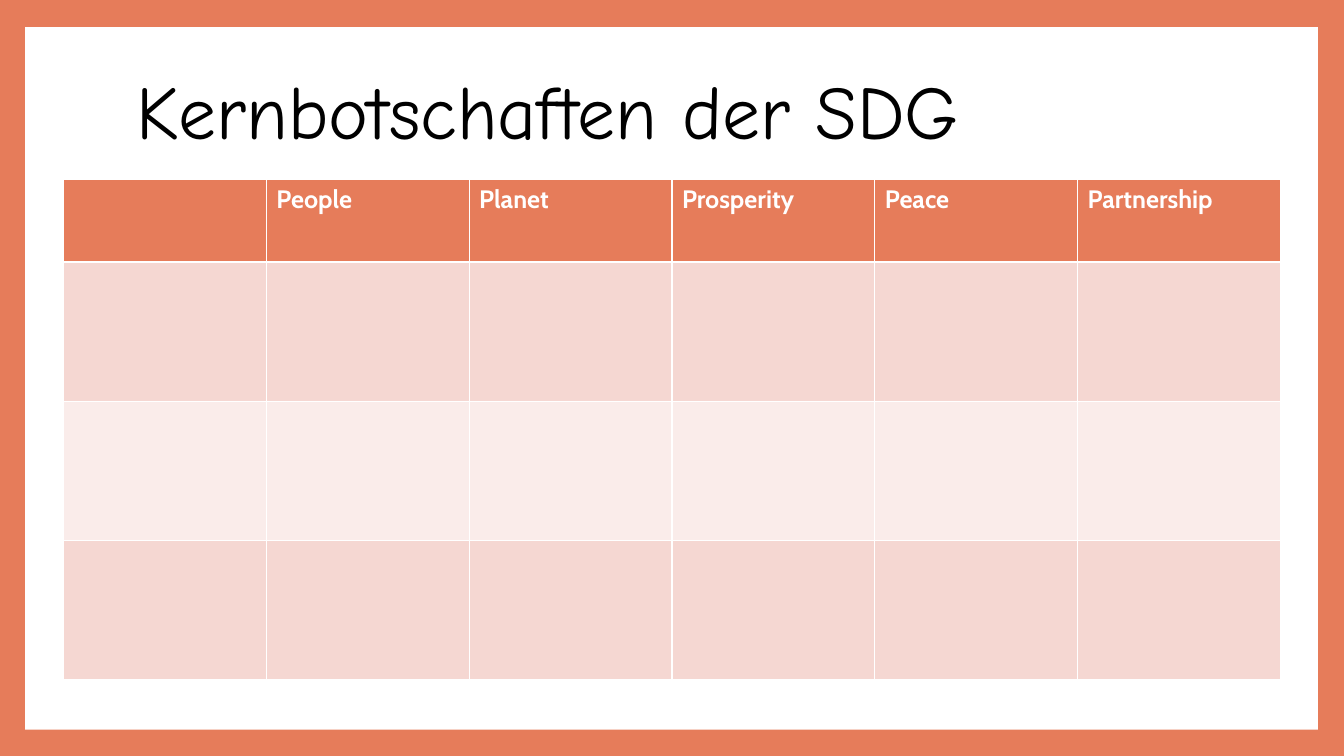
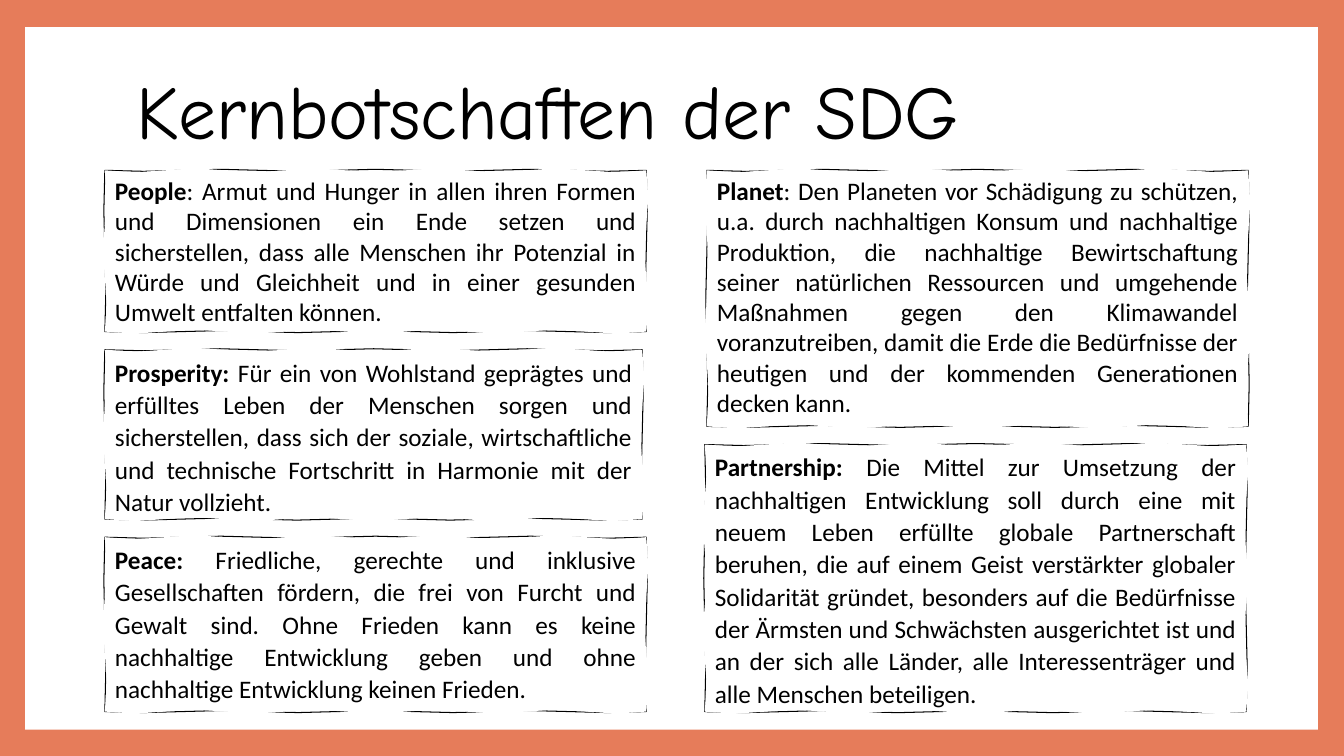
from copy import deepcopy

from pptx import Presentation
from pptx.dml.color import RGBColor
from pptx.enum import shapes, text
from pptx.util import Inches, Pt

CORAL = RGBColor(0xE6, 0x7C, 0x5A)
ROSE = RGBColor(0xF5, 0xD7, 0xD2)
BLUSH = RGBColor(0xFA, 0xEC, 0xEA)
WHITE = RGBColor(0xFF, 0xFF, 0xFF)
BLACK = RGBColor(0, 0, 0)

HEAD = {"name": "Comic Neue", "size": Pt(54), "bold": False}
CELL = {"name": "Cabin", "size": Pt(18), "bold": True}
BODY = {"name": "Calibri", "size": Pt(18)}


def style(font, form, color):
    for key, value in form.items():
        setattr(font, key, value)
    font.color.rgb = color


def outline(box, rate, swing):
    """Return the corners of a box, with points swaying in and out between them."""
    left, top, width, height = box
    points = []
    for x, y, dx, dy in ((left, top, width, 0), (left + width, top, 0, height),
                         (left + width, top + height, -width, 0),
                         (left, top + height, 0, -height)):
        points.append((Inches(x), Inches(y)))
        waves = round(abs(dx + dy) * rate)
        for i in range(waves):
            t = (i + 0.5) / waves
            sway = swing * (-1) ** i
            points.append((Inches(x + dx * t + (sway if dy else 0)),
                           Inches(y + dy * t + (sway if dx else 0))))
    return points


deck = Presentation()
deck.slide_width, deck.slide_height = Inches(13.33), Inches(7.5)

# Shared look: coral background, white panel, title place
master = deck.slide_master
master.background.fill.solid()
master.background.fill.fore_color.rgb = CORAL
layout = deck.slide_layouts.get_by_name("Title Only")
place = layout.placeholders[0]
place.left, place.top = Inches(1.25), Inches(0.67)
place.width, place.height = Inches(10.8), Inches(0.94)

pages = [deck.slides.add_slide(layout) for _ in range(2)]
panel = pages[0].shapes.add_shape(
    shapes.MSO_SHAPE.RECTANGLE, Inches(0.25), Inches(0.27), Inches(12.82), Inches(6.97))
panel.shadow.inherit = False
panel.fill.solid()
panel.fill.fore_color.rgb = WHITE
panel.line.fill.background()
panel.element.nvSpPr.cNvPr.set("id", "99")
master.shapes.element.insert(2, panel.element)

# Titles
for page in pages:
    frame = page.shapes.title.text_frame
    frame.text = "Kernbotschaften der SDG"
    frame.word_wrap = True
    frame.auto_size = text.MSO_AUTO_SIZE.NONE
    frame.vertical_anchor = text.MSO_ANCHOR.MIDDLE
    line = frame.paragraphs[0]
    line.alignment = text.PP_ALIGN.LEFT
    line.line_spacing = 0.9
    style(line.runs[0].font, HEAD, BLACK)

# Slide 1: empty table to fill in
names = ["", "People", "Planet", "Prosperity", "Peace", "Partnership"]
table = pages[0].shapes.add_table(
    4, len(names), Inches(0.63), Inches(1.78), Inches(12.07), Inches(4.96)).table
for r, (row, color) in enumerate(zip(table.rows, (CORAL, ROSE, BLUSH, ROSE))):
    row.height = Inches(1.38 if r else 0.82)
    for cell, name in zip(row.cells, names):
        cell.fill.solid()
        cell.fill.fore_color.rgb = color
        if name and r == 0:
            cell.text = name
            style(cell.text_frame.paragraphs[0].runs[0].font, CELL, WHITE)

# Slide 2: hand-drawn boxes as (place, line spacing, bold lead, message)
cards = [
    ((1.04, 1.69, 5.37, 1.6), 1, "People",
     ": Armut und Hunger in allen ihren Formen und Dimensionen ein Ende setzen und "
     "sicherstellen, dass alle Menschen ihr Potenzial in Würde und Gleichheit und in "
     "einer gesunden Umwelt entfalten können."),
    ((7.01, 1.69, 5.37, 2.54), 1, "Planet",
     ": Den Planeten vor Schädigung zu schützen, u.a. durch nachhaltigen Konsum und "
     "nachhaltige Produktion, die nachhaltige Bewirtschaftung seiner natürlichen "
     "Ressourcen und umgehende Maßnahmen gegen den Klimawandel voranzutreiben, damit die "
     "Erde die Bedürfnisse der heutigen und der kommenden Generationen decken kann."),
    ((1.04, 3.47, 5.33, 1.68), 1.07, "Prosperity: ",
     "Für ein von Wohlstand geprägtes und erfülltes Leben der Menschen sorgen und "
     "sicherstellen, dass sich der soziale, wirtschaftliche und technische Fortschritt "
     "in Harmonie mit der Natur vollzieht."),
    ((1.04, 5.33, 5.37, 1.73), 1.07, "Peace: ",
     "Friedliche, gerechte und inklusive Gesellschaften fördern, die frei von Furcht und "
     "Gewalt sind. Ohne Frieden kann es keine nachhaltige Entwicklung geben und ohne "
     "nachhaltige Entwicklung keinen Frieden."),
    ((6.99, 4.41, 5.37, 2.65), 1.07, "Partnership:",
     " Die Mittel zur Umsetzung der nachhaltigen Entwicklung soll durch eine mit neuem "
     "Leben erfüllte globale Partnerschaft beruhen, die auf einem Geist verstärkter "
     "globaler Solidarität gründet, besonders auf die Bedürfnisse der Ärmsten und "
     "Schwächsten ausgerichtet ist und an der sich alle Länder, alle Interessenträger "
     "und alle Menschen beteiligen."),
]
for box, space, lead, message in cards:
    edge, cover = outline(box, 1.3, 0.01), outline(box, 1.7, 0.02)
    pen = pages[1].shapes.build_freeform(*edge[0])
    pen.add_line_segments(edge[1:], close=True)
    pen.move_to(*cover[0])
    pen.add_line_segments(cover[1:], close=True)
    card = pen.convert_to_shape()
    card.shadow.inherit = False
    card.fill.solid()
    card.fill.fore_color.rgb = WHITE
    card.line.color.rgb = BLACK
    card.line.width = Pt(0.75)

    # Split stroke from fill: the fill hides parts of the stroke
    stroke = card.element.xpath(".//a:path")[0]
    fill = deepcopy(stroke)
    stroke.addnext(fill)
    cut = len(edge) + 1
    for part in list(stroke)[cut:]:
        stroke.remove(part)
    for part in list(fill)[:cut]:
        fill.remove(part)
    stroke.set("fill", "none")
    fill.set("stroke", "0")

    # Message, inset from the straight box
    left, top, width, _ = box
    frame = card.text_frame
    frame.word_wrap = True
    frame.vertical_anchor = text.MSO_ANCHOR.TOP
    frame.margin_left = Inches(left + 0.1) - card.left
    frame.margin_right = card.left + card.width - Inches(left + width - 0.1)
    frame.margin_top = Inches(top + 0.05) - card.top
    line = frame.paragraphs[0]
    line.alignment = text.PP_ALIGN.JUSTIFY
    line.line_spacing = space
    for words, bold in ((lead, True), (message, False)):
        run = line.add_run()
        run.text = words
        style(run.font, {**BODY, "bold": bold}, BLACK)

deck.save("out.pptx")
